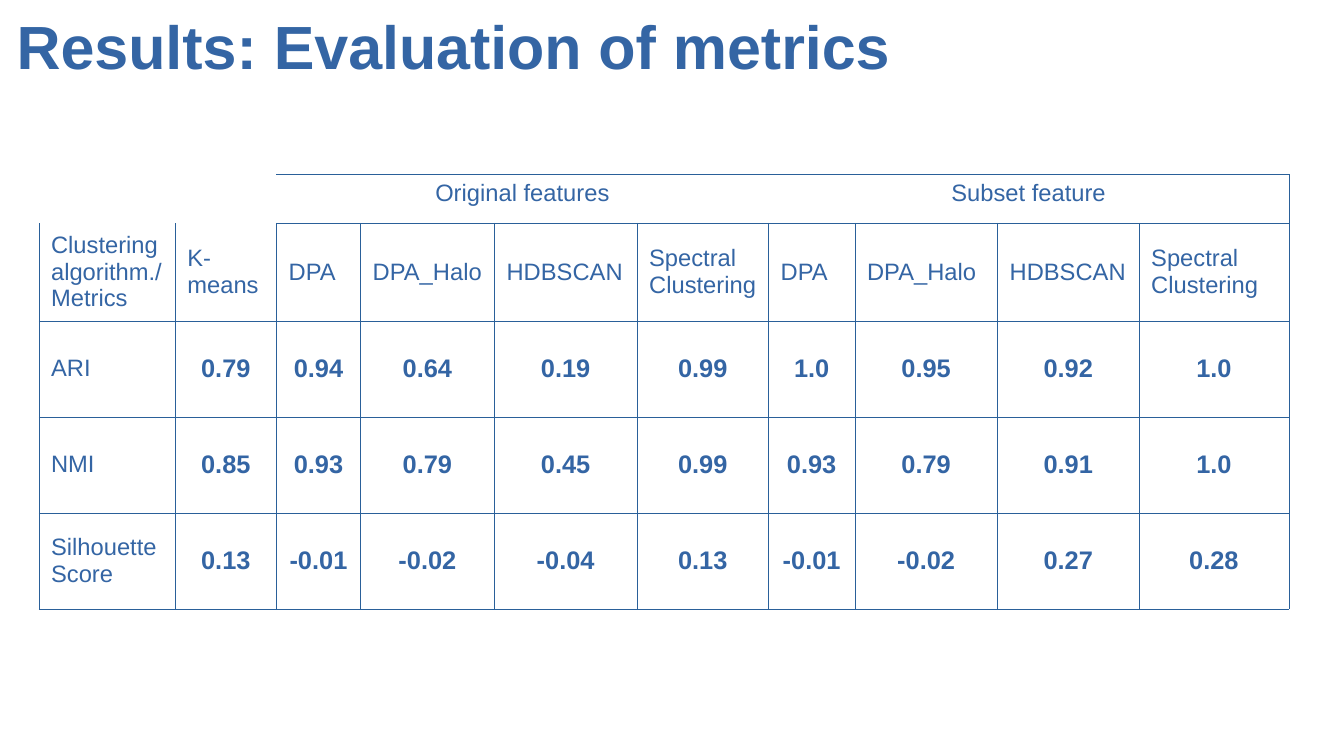
import pptx
import pptx.util
import pptx.dml.color
import pptx.enum.text
import pptx.oxml.ns
import lxml.etree

Cm, Pt = pptx.util.Cm, pptx.util.Pt
Align, Anchor = pptx.enum.text.PP_ALIGN, pptx.enum.text.MSO_ANCHOR
hues = {"text": "3465A4", "line": "2A6099", "fill": "FFFFFF"}


def write(para, text, size, bold=False, align=Align.LEFT):
    para.alignment = align
    run = para.add_run()
    run.text = text
    run.font.name = "Arial"
    run.font.size = Pt(size)
    run.font.bold = bold
    run.font.color.rgb = pptx.dml.color.RGBColor.from_string(hues["text"])


def edge(cell, sides):
    """Draw the given sides (of L, R, T, B) and hide the others."""
    props = cell._tc.get_or_add_tcPr()
    qn = pptx.oxml.ns.qn
    for spot, side in enumerate("LRTB"):
        line = lxml.etree.Element(qn("a:ln" + side), w=str(Pt(0.06)))
        if side in sides:
            fill = lxml.etree.SubElement(line, qn("a:solidFill"))
            lxml.etree.SubElement(fill, qn("a:srgbClr"), val=hues["line"])
        else:
            lxml.etree.SubElement(line, qn("a:noFill"))
        props.insert(spot, line)


deck = pptx.Presentation()
deck.slide_width, deck.slide_height = Cm(28), Cm(15.75)
slide = deck.slides.add_slide(deck.slide_layouts[6])

# Title
title = slide.shapes.add_textbox(Cm(0.1), Cm(0), Cm(19.05), Cm(1.9))
frame = title.text_frame
frame.word_wrap = True
frame.vertical_anchor = Anchor.MIDDLE
frame.margin_left = frame.margin_right = frame.margin_top = frame.margin_bottom = 0
write(frame.paragraphs[0], "Results: Evaluation of metrics ", 36, True, Align.CENTER)

# Table content
methods = ["DPA", "DPA_Halo", "HDBSCAN", "Spectral\nClustering"]
rows = [
    ["", "", "Original features", "", "", "", "Subset feature", "", "", ""],
    ["Clustering algorithm./\nMetrics", "K-means"] + methods * 2,
    ["ARI", "0.79", "0.94", "0.64", "0.19", "0.99", "1.0", "0.95", "0.92", "1.0"],
    ["NMI", "0.85", "0.93", "0.79", "0.45", "0.99", "0.93", "0.79", "0.91", "1.0"],
    ["Silhouette Score", "0.13", "-0.01", "-0.02", "-0.04", "0.13",
     "-0.01", "-0.02", "0.27", "0.28"],
]
widths = [2.84, 2.11, 1.75, 2.79, 2.97, 2.74, 1.8, 2.97, 2.95, 3.12]
heights = [0.96] + [2] * 4

# Table grid
grid = slide.shapes.add_table(len(rows), len(widths), Cm(0.81), Cm(3.63),
                              Cm(sum(widths)), Cm(sum(heights))).table
grid.first_row = grid.horz_banding = False
for col, width in zip(grid.columns, widths):
    col.width = Cm(width)
for row, height in zip(grid.rows, heights):
    row.height = Cm(height)
for first, last in [(0, 1), (2, 5), (6, 9)]:
    grid.cell(0, first).merge(grid.cell(0, last))

# Cells
for r, texts in enumerate(rows):
    for c, text in enumerate(texts):
        cell = grid.cell(r, c)
        cell.fill.solid()
        cell.fill.fore_color.rgb = pptx.dml.color.RGBColor.from_string(hues["fill"])
        cell.vertical_anchor = Anchor.MIDDLE if r else Anchor.TOP
        score = r > 1 and c > 0
        align = Align.CENTER if score or r == 0 else Align.LEFT
        for n, part in enumerate(text.split("\n") if text else []):
            body = cell.text_frame
            para = body.add_paragraph() if n else body.paragraphs[0]
            write(para, part, 15 if score else 14, score, align)
        # The top left corner stays open
        if r == 0:
            sides = "" if c < 2 else "RTB" if c in (2, 5, 6, 9) else "TB"
        else:
            sides = "LRB" if r == 1 and c < 2 else "LRTB"
        edge(cell, sides)

deck.save("out.pptx")
